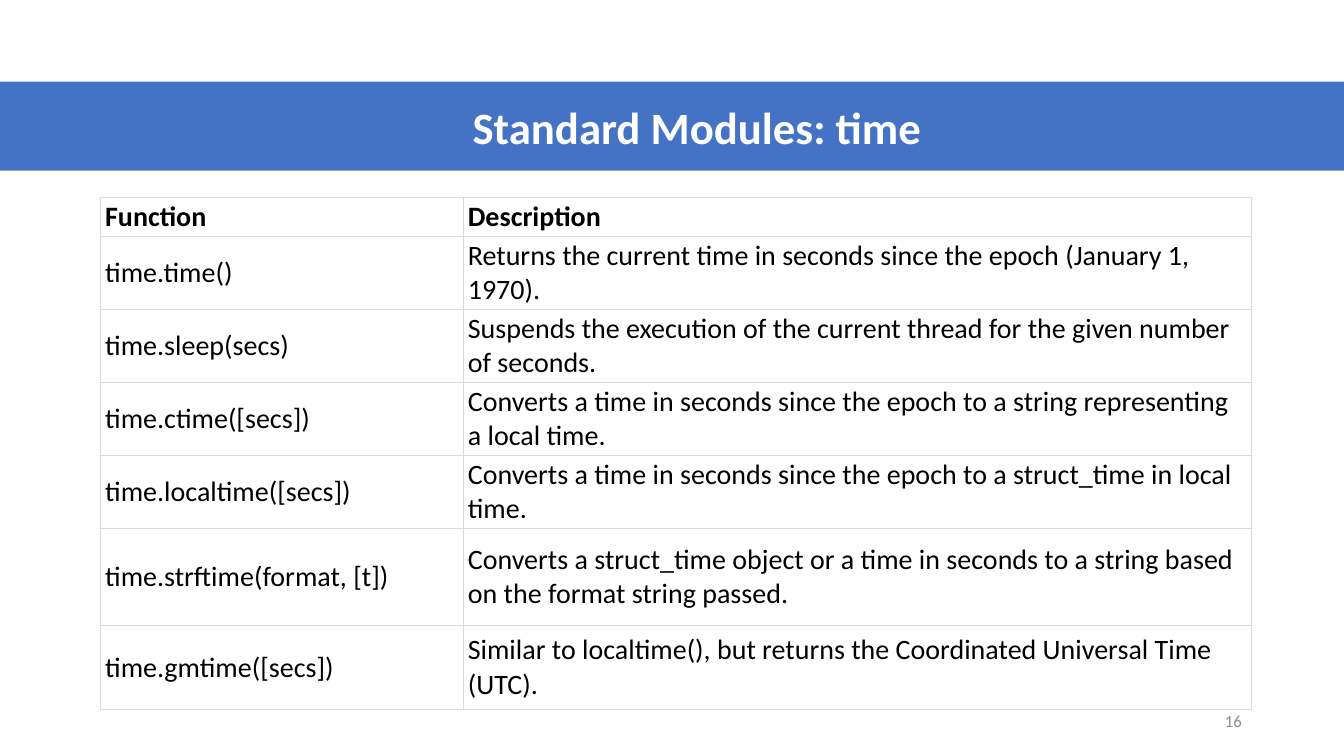
from lxml import etree
from pptx import Presentation
from pptx import util as u
from pptx.dml import color
from pptx.enum import shapes, text
from pptx.oxml import ns

BLUE = color.RGBColor(0x44, 0x72, 0xC4)
WHITE = color.RGBColor(0xFF, 0xFF, 0xFF)
BLACK = color.RGBColor(0, 0, 0)
GREY = color.RGBColor(0x8C, 0x8C, 0x8C)
BORDER = color.RGBColor(0xD9, 0xD9, 0xE3)

ROWS = [
    ("Function", "Description"),
    ("time.time()", "Returns the current time in seconds since the epoch (January 1, 1970)."),
    ("time.sleep(secs)", "Suspends the execution of the current thread for the given number of seconds."),
    ("time.ctime([secs])", "Converts a time in seconds since the epoch to a string representing a local time."),
    ("time.localtime([secs])", "Converts a time in seconds since the epoch to a struct_time in local time."),
    ("time.strftime(format, [t])",
     "Converts a struct_time object or a time in seconds to a string based on the format string passed."),
    ("time.gmtime([secs])", "Similar to localtime(), but returns the Coordinated Universal Time (UTC)."),
]
COLUMN_WIDTHS = [9.14, 19.86]
ROW_HEIGHTS = [0.97] + [1.84] * 4 + [2.45, 2.12]


class Deck:
    font = "Calibri"

    def __init__(self, prs):
        self.s = prs.slides.add_slide(prs.slide_layouts[6])

    def label(self, tf, content, size, rgb, bold=False, align=text.PP_ALIGN.LEFT):
        p = tf.paragraphs[0]
        p.alignment = align
        r = p.add_run()
        r.text = content
        for name, value in {"name": self.font, "size": u.Pt(size), "bold": bold}.items():
            setattr(r.font, name, value)
        r.font.color.rgb = rgb

    def banner(self, content, box):
        sp = self.s.shapes.add_shape(shapes.MSO_SHAPE.RECTANGLE, *map(u.Cm, box))
        sp.shadow.inherit = False
        sp.fill.solid()
        sp.fill.fore_color.rgb = BLUE
        sp.line.fill.background()
        sp.text_frame.vertical_anchor = text.MSO_ANCHOR.MIDDLE
        self.label(sp.text_frame, content, 32, WHITE, True, text.PP_ALIGN.CENTER)

    def page_number(self, content, box):
        tf = self.s.shapes.add_textbox(*map(u.Cm, box)).text_frame
        tf.word_wrap = True
        tf.vertical_anchor = text.MSO_ANCHOR.MIDDLE
        self.label(tf, content, 12, GREY, align=text.PP_ALIGN.RIGHT)

    def borders(self, cell, widths):
        tc_pr = cell._tc.get_or_add_tcPr()
        for side, width in widths.items():
            ln = etree.SubElement(tc_pr, ns.qn(f"a:ln{side}"), w=str(u.Pt(width)))
            fill = etree.SubElement(ln, ns.qn("a:solidFill"))
            etree.SubElement(fill, ns.qn("a:srgbClr"), val=str(BORDER))

    def table(self, rows, left, top, widths, heights):
        box = left, top, sum(widths), sum(heights)
        table = self.s.shapes.add_table(len(rows), len(widths), *map(u.Cm, box)).table
        table.first_row = table.horz_banding = False
        for column, width in zip(table.columns, widths):
            column.width = u.Cm(width)
        for i, (row, height) in enumerate(zip(rows, heights)):
            table.rows[i].height = u.Cm(height)
            header, last = i == 0, i == len(rows) - 1
            anchor = text.MSO_ANCHOR.BOTTOM if header else text.MSO_ANCHOR.MIDDLE
            style = {"margin_left": u.Cm(0.11), "margin_right": u.Cm(0.11),
                     "margin_top": u.Cm(0.05), "margin_bottom": u.Cm(0.05),
                     "vertical_anchor": anchor}
            edges = {"L": 0.5, "R": 0.5, "T": 0.5 if header else 1, "B": 0.5 if last else 1}
            for j, content in enumerate(row):
                cell = table.cell(i, j)
                for name, value in style.items():
                    setattr(cell, name, value)
                self.borders(cell, edges)
                cell.fill.background()
                self.label(cell.text_frame, content, 20, BLACK, header)


def main():
    prs = Presentation()
    prs.slide_width, prs.slide_height = u.Cm(33.87), u.Cm(19.05)
    deck = Deck(prs)
    deck.banner("\tStandard Modules: time", (0, 2.06, 33.87, 2.24))
    deck.page_number("16", (23.93, 17.65, 7.62, 1.02))
    deck.table(ROWS, 2.54, 4.98, COLUMN_WIDTHS, ROW_HEIGHTS)
    prs.save("out.pptx")


if __name__ == "__main__":
    main()
